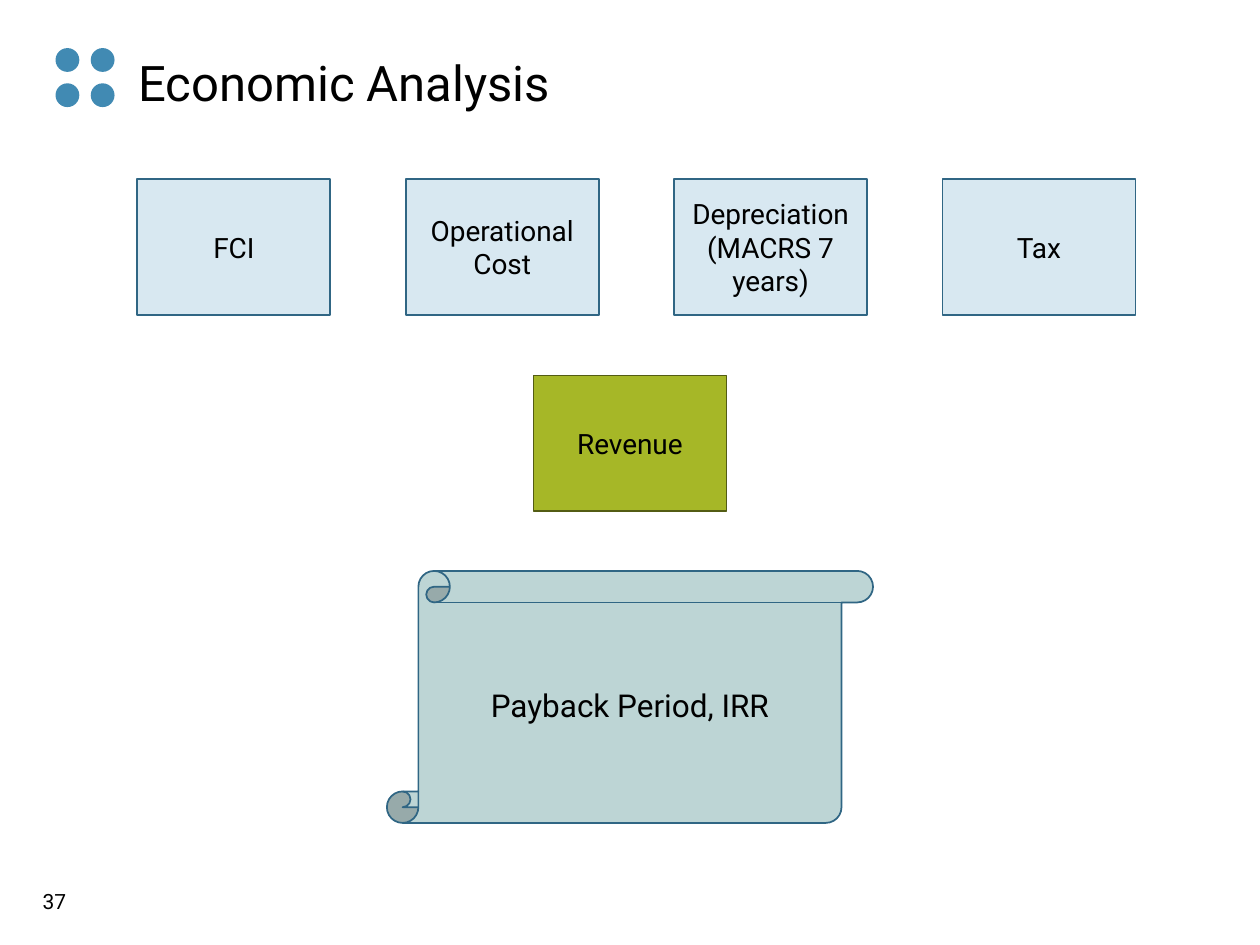
from dataclasses import dataclass

from pptx import Presentation
from pptx.dml.color import RGBColor
from pptx.enum.shapes import MSO_SHAPE as Shape
from pptx.enum.text import MSO_ANCHOR as Anchor, PP_ALIGN as Align
from pptx.util import Cm, Pt


@dataclass(frozen=True)
class Theme:
    font: str = "Roboto"
    text: str = "000000"
    accent: str = "418AB3"
    cost: str = "D8E8F1"
    cost_line: str = "306684"
    revenue: str = "A6B727"
    revenue_line: str = "535C14"
    result: str = "BDD5D5"
    title_size: int = 28
    result_size: int = 18
    box_size: int = 16
    number_size: int = 12


class SlideBuilder:
    def __init__(self, page, theme):
        self.page = page
        self.theme = theme

    def set_text(self, box, text, size, align=Align.CENTER, anchor=Anchor.MIDDLE):
        frame = box.text_frame
        frame.word_wrap = True
        frame.vertical_anchor = anchor
        para = frame.paragraphs[0]
        para.text = text
        para.alignment = align
        font_format = {"name": self.theme.font, "size": Pt(size)}
        for span in para.runs:
            for name, value in font_format.items():
                setattr(span.font, name, value)
            span.font.color.rgb = RGBColor.from_string(self.theme.text)

    def title(self, text, left, top, width, height):
        box = self.page.shapes.title
        place = {"left": left, "top": top, "width": width, "height": height}
        for name, value in place.items():
            setattr(box, name, Cm(value))
        self.set_text(box, text, self.theme.title_size, Align.LEFT, Anchor.TOP)

    def label(self, text, size, *place):
        box = self.page.shapes.add_textbox(*map(Cm, place))
        self.set_text(box, text, size)

    def shape(self, kind, fill, line, *place, parent=None):
        shapes = (parent or self.page).shapes
        box = shapes.add_shape(kind, *map(Cm, place))
        box.shadow.inherit = False
        box.fill.solid()
        box.fill.fore_color.rgb = RGBColor.from_string(fill)
        if line:
            box.line.color.rgb = RGBColor.from_string(line)
            box.line.width = Pt(1)
        else:
            box.line.fill.background()
        return box

    def box(self, text, size, kind, fill, line, *place):
        self.set_text(self.shape(kind, fill, line, *place), text, size)

    def dots(self, left, top, pitch, diameter):
        group = self.page.shapes.add_group_shape()
        for row in range(2):
            for column in range(2):
                self.shape(Shape.OVAL, self.theme.accent, None,
                           left + column * pitch, top + row * pitch,
                           diameter, diameter, parent=group)


def main():
    theme = Theme()
    deck = Presentation()
    deck.slide_width, deck.slide_height = Cm(25.4), Cm(19.05)
    page = deck.slides.add_slide(deck.slide_layouts[5])
    slide = SlideBuilder(page, theme)

    # Heading with its four-dot ornament
    slide.title("Economic Analysis", 2.54, 0.94, 20.32, 1.45)
    slide.dots(1.12, 0.97, 0.71, 0.48)

    # Row of cost inputs
    box_width, box_height, pitch = 3.89, 2.74, 5.41
    costs = ["FCI", "Operational Cost", "Depreciation\n(MACRS 7 years)", "Tax"]
    for index, cost in enumerate(costs):
        slide.box(cost, theme.box_size, Shape.RECTANGLE, theme.cost,
                  theme.cost_line, 2.77 + index * pitch, 3.61,
                  box_width, box_height)

    # Revenue and the resulting measures, centred on the page
    slide.box("Revenue", theme.box_size, Shape.RECTANGLE, theme.revenue,
              theme.revenue_line, (25.4 - box_width) / 2, 7.57,
              box_width, box_height)
    scroll_width = 9.8
    slide.box("Payback Period, IRR", theme.result_size, Shape.VERTICAL_SCROLL,
              theme.result, theme.cost_line, (25.4 - scroll_width) / 2, 11.51,
              scroll_width, 5.08)

    # Page number
    slide.label("37", theme.number_size, 0.15, 17.53, 1.9, 1.27)

    deck.save("out.pptx")


if __name__ == "__main__":
    main()
